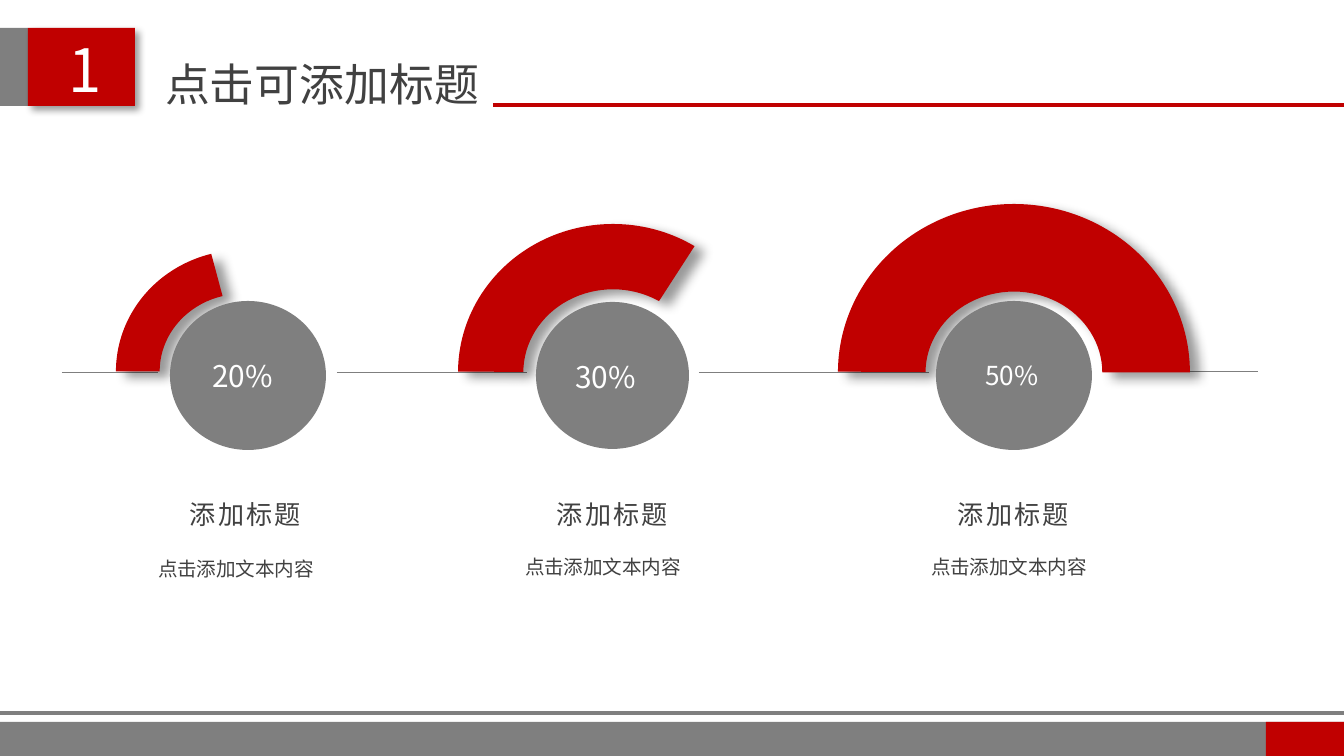
from pptx import Presentation
from pptx.dml.color import RGBColor
from pptx.enum.shapes import MSO_CONNECTOR as CONN, MSO_SHAPE as SHAPE
from pptx.enum.text import MSO_AUTO_SIZE as AUTO, PP_ALIGN as ALIGN
from pptx.oxml import parse_xml
from pptx.oxml.ns import nsdecls, qn
from pptx.util import Emu, Pt

W, H = 1344, 756
SCALE = 9144000 / W
FONT = "Noto Sans CJK SC"
COLORS = {"red": "C00000", "gray": "7F7F7F", "ink": "414141",
          "white": "FFFFFF", "shadow": "000000"}

# label, arc box, arc adjustments, circle box, label box, label size,
# heading left, caption left, caption top
ITEMS = [
    ("20%", (116, 250, 254, 243), (108, 152.95, 0.18),
     (170, 301, 156, 149), (199, 351, 89, 50), 16, 175, 92, 550),
    ("30%", (458, 224, 310, 297), (108.2, 181.7, 0.22),
     (536, 302, 153, 147), (562, 352, 89, 50), 16, 542, 459, 548),
    ("50%", (838, 204, 352, 337), (108.16, 216, 0.26),
     (936, 301, 156, 149), (972, 353, 82, 46), 14, 943, 865, 548),
]
# left, right, y
BASELINES = [(62, 158, 372), (1106, 1258, 371), (699, 929, 372), (337, 527, 372)]


def px(n):
    return Emu(round(n * SCALE))


def rgb(name):
    return RGBColor.from_string(COLORS[name])


def add_shadow(s, blur, dist, angle):
    effects = s._element.spPr.find(qn("a:effectLst"))
    effects.append(parse_xml(
        f'<a:outerShdw {nsdecls("a")} blurRad="{Pt(blur)}" dist="{Pt(dist)}" '
        f'dir="{angle * 60000}" algn="tl" rotWithShape="0">'
        f'<a:srgbClr val="{COLORS["shadow"]}"><a:alpha val="40000"/></a:srgbClr>'
        '</a:outerShdw>'))


def add_block(slide, kind, box, color, adjustments=(), shadow=None):
    s = slide.shapes.add_shape(kind, *map(px, box))
    s.shadow.inherit = False
    s.fill.solid()
    s.fill.fore_color.rgb = rgb(color)
    s.line.fill.background()
    for i, value in enumerate(adjustments):
        s.adjustments[i] = value
    if shadow:
        add_shadow(s, *shadow)
    return s


def add_rule(slide, left, right, y, color, width):
    c = slide.shapes.add_connector(CONN.STRAIGHT, px(left), px(y), px(right), px(y))
    c.line.color.rgb = rgb(color)
    c.line.width = Pt(width)
    c._element.spPr.append(parse_xml(f'<a:effectLst {nsdecls("a")}/>'))
    return c


def add_text(slide, text, box, size, color="ink", align=ALIGN.CENTER,
             wrap=True, spacing=None):
    s = slide.shapes.add_textbox(*map(px, box))
    tf = s.text_frame
    tf.word_wrap = wrap
    tf.auto_size = AUTO.SHAPE_TO_FIT_TEXT
    p = tf.paragraphs[0]
    p.alignment = align
    r = p.add_run()
    r.text = text
    r.font.name = FONT
    r.font.size = Pt(size)
    r.font.color.rgb = rgb(color)
    rPr = r.font._element
    ea = parse_xml(f'<a:ea {nsdecls("a")} typeface="{FONT}"/>')
    rPr.find(qn("a:latin")).addnext(ea)
    if spacing:
        rPr.set("spc", str(round(spacing * 100)))
    return s


def add_frame(slide):
    # Footer
    add_block(slide, SHAPE.RECTANGLE, (0, 722, W, 34), "gray")
    add_rule(slide, 0, W, 713, "gray", 2.25)
    add_block(slide, SHAPE.RECTANGLE, (1266, 722, 78, 34), "red")
    # Header
    add_block(slide, SHAPE.RECTANGLE, (0, 28, 28, 78), "gray")
    add_block(slide, SHAPE.RECTANGLE, (28, 28, 107, 78), "red", shadow=(4, 3, 45))
    add_rule(slide, 493, W, 105, "red", 2.25)
    add_text(slide, "1", (55, 26, 55, 86), 32, color="white")
    add_text(slide, "点击可添加标题", (137, 50, 370, 67), 24)


def add_item(slide, label, arc, adjustments, circle, label_box, size,
             heading_left, caption_left, caption_top):
    add_block(slide, SHAPE.BLOCK_ARC, arc, "red", adjustments, shadow=(6, 6, 30))
    add_block(slide, SHAPE.OVAL, circle, "gray")
    add_text(slide, label, label_box, size, color="white",
             align=ALIGN.LEFT, wrap=False)
    add_text(slide, "添加标题", (heading_left, 492, 141, 46), 14,
             wrap=False, spacing=1.2)
    add_text(slide, "点击添加文本内容", (caption_left, caption_top, 288, 39), 10.5)


def main():
    prs = Presentation()
    prs.slide_width, prs.slide_height = px(W), px(H)
    slide = prs.slides.add_slide(prs.slide_layouts[6])
    add_frame(slide)
    # Baseline segments, behind the arcs
    for left, right, y in BASELINES:
        add_rule(slide, left, right, y, "gray", 0.25)
    # Percentage arcs with captions
    for item in ITEMS:
        add_item(slide, *item)
    prs.save("out.pptx")


if __name__ == "__main__":
    main()
